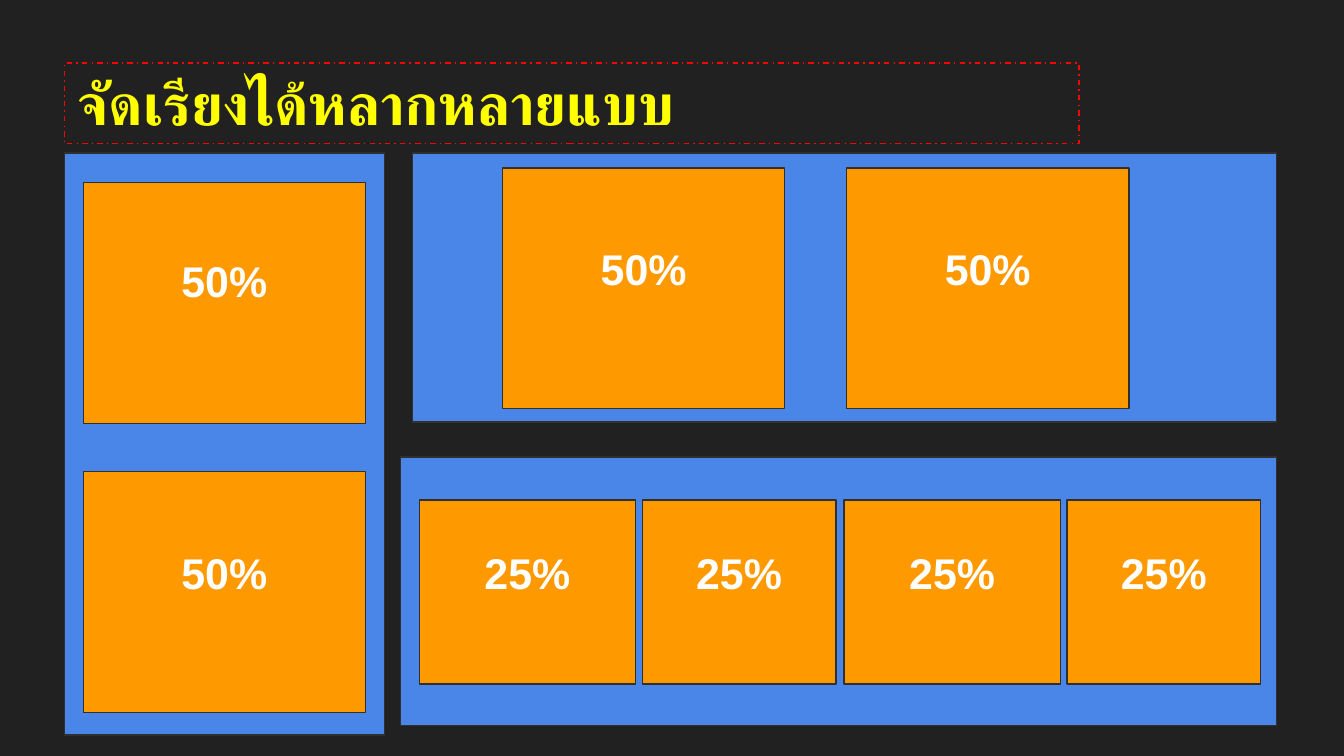
import pptx
import pptx.dml.color
import pptx.enum.dml
import pptx.enum.shapes
import pptx.enum.text
import pptx.oxml.ns
import pptx.util
from lxml import etree

Inches = pptx.util.Inches
Pt = pptx.util.Pt
RGBColor = pptx.dml.color.RGBColor
ALIGN = pptx.enum.text.PP_ALIGN
ANCHOR = pptx.enum.text.MSO_ANCHOR
NO_FIT = pptx.enum.text.MSO_AUTO_SIZE.NONE

DARK = RGBColor(0x21, 0x21, 0x21)
BORDER = RGBColor(0x30, 0x30, 0x30)
BLUE = RGBColor(0x4A, 0x86, 0xE8)
ORANGE = RGBColor(0xFF, 0x99, 0x00)
RED = RGBColor(0xFF, 0x00, 0x00)
YELLOW = RGBColor(0xFF, 0xFF, 0x00)
WHITE = RGBColor(0xFF, 0xFF, 0xFF)

SLIDE_W = 10
SLIDE_H = SLIDE_W * 9 / 16
PANELS = [(0.48, 1.14, 2.38, 4.33), (3.07, 1.14, 6.43, 2), (2.98, 3.4, 6.52, 2)]
LABEL_W, LABEL_H = 4.68, 0.79


def apply(obj, values):
    """Set every attribute in a dict of format values."""
    for name, value in values.items():
        setattr(obj, name, value)


def write(tf, text, size, color, frame, para):
    """Write one bold Arial paragraph in a text frame."""
    apply(tf, {"word_wrap": True, "auto_size": NO_FIT, **frame})
    p = tf.paragraphs[0]
    apply(p, {"space_before": Pt(0), **para})
    r = p.add_run()
    r.text = text
    apply(r.font, {"name": "Arial", "size": Pt(size), "bold": True})
    r.font.color.rgb = color
    cs = etree.SubElement(r.font._element, pptx.oxml.ns.qn("a:cs"))
    cs.set("typeface", "Arial")


def add_title(s, text):
    """Place and format the title with its dashed outline."""
    sp = s.shapes.title
    apply(sp, {"left": Inches(0.48), "top": Inches(0.47),
               "width": Inches(7.55), "height": Inches(0.6)})
    sp.line.color.rgb = RED
    apply(sp.line, {"width": Pt(0.75),
                    "dash_style": pptx.enum.dml.MSO_LINE.DASH_DOT})
    write(sp.text_frame, text, 31, YELLOW,
          {"vertical_anchor": ANCHOR.BOTTOM},
          {"alignment": ALIGN.LEFT, "line_spacing": 0.85})


def add_rect(s, x, y, w, h, fill):
    """Add a filled rectangle with a thin dark border."""
    sp = s.shapes.add_shape(pptx.enum.shapes.MSO_SHAPE.RECTANGLE,
                            Inches(x), Inches(y), Inches(w), Inches(h))
    sp.shadow.inherit = False
    sp.fill.solid()
    sp.fill.fore_color.rgb = fill
    sp.line.color.rgb = BORDER
    sp.line.width = Pt(0.75)


def add_label(s, center, top, text):
    """Add a percentage centred on a given x position."""
    sp = s.shapes.add_textbox(Inches(center - LABEL_W / 2), Inches(top),
                              Inches(LABEL_W), Inches(LABEL_H))
    margins = {f"margin_{side}": Inches(0.1)
               for side in ("left", "top", "right", "bottom")}
    write(sp.text_frame, text, 23, WHITE,
          {"vertical_anchor": ANCHOR.TOP, **margins},
          {"alignment": ALIGN.CENTER, "line_spacing": 0.9,
           "space_after": Pt(2)})


def add_item(s, x, y, w, h, label_top, text):
    """Add an orange item and its percentage."""
    add_rect(s, x, y, w, h, ORANGE)
    add_label(s, x + w / 2, label_top, text)


def main():
    """Build the slide of layout examples."""
    prs = pptx.Presentation()
    apply(prs, {"slide_width": Inches(SLIDE_W),
                "slide_height": Inches(SLIDE_H)})
    s = prs.slides.add_slide(prs.slide_layouts[5])
    s.background.fill.solid()
    s.background.fill.fore_color.rgb = DARK
    add_title(s, "จัดเรียงได้หลากหลายแบบ")
    for panel in PANELS:
        add_rect(s, *panel, BLUE)
    for y, label_top in ((1.36, 1.84), (3.51, 4.01)):
        add_item(s, 0.62, y, 2.1, 1.79, label_top, "50%")
    for x in (3.74, 6.3):
        add_item(s, x, 1.25, 2.1, 1.79, 1.75, "50%")
    for pair in range(2):
        for x, w in ((3.12, 1.61), (4.78, 1.44)):
            add_item(s, x + 3.16 * pair, 3.72, w, 1.37, 4.01, "25%")
    prs.save("out.pptx")


if __name__ == "__main__":
    main()
